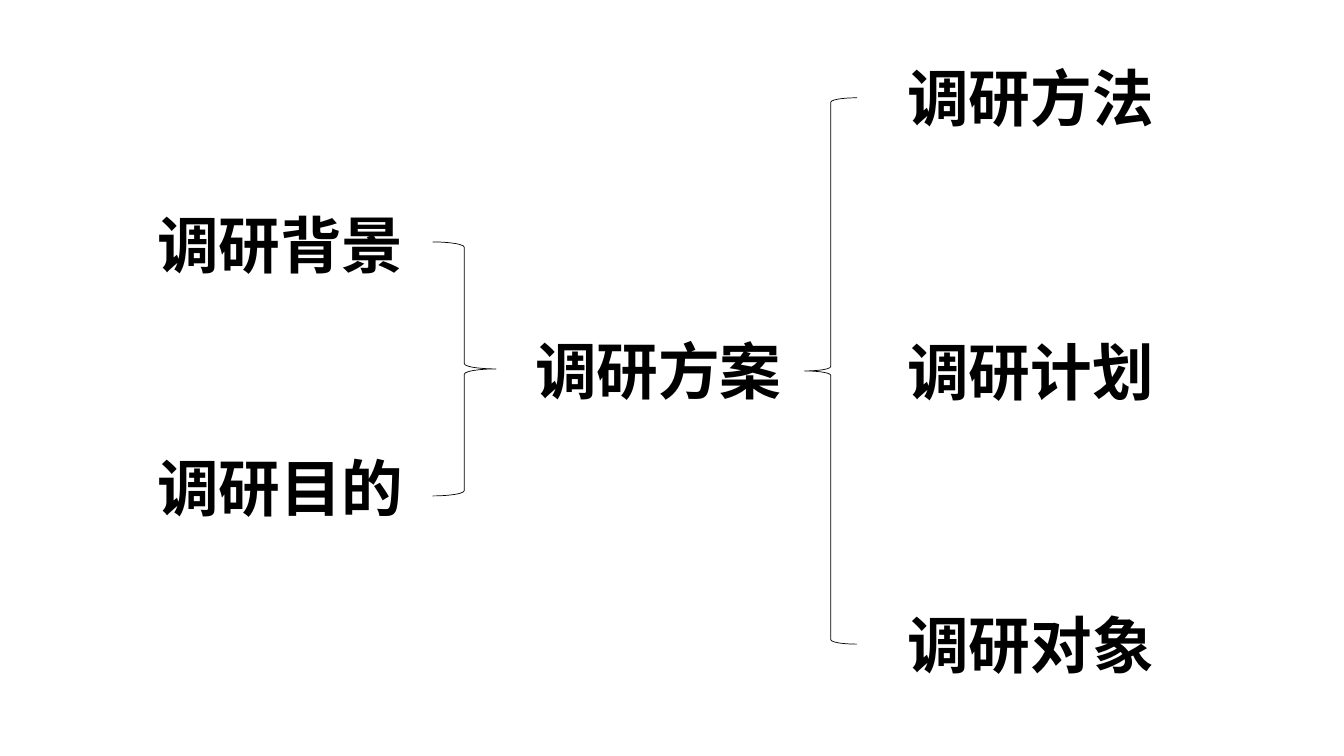
from lxml import etree
from pptx import Presentation
from pptx.dml.color import RGBColor
from pptx.enum.shapes import MSO_SHAPE
from pptx.enum.text import MSO_AUTO_SIZE
from pptx.oxml.ns import qn
from pptx.util import Emu, Pt

LEFT_BRACE = MSO_SHAPE.LEFT_BRACE
RIGHT_BRACE = MSO_SHAPE.RIGHT_BRACE
FIT_SHAPE = MSO_AUTO_SIZE.SHAPE_TO_FIT_TEXT
BLACK = RGBColor(0x00, 0x00, 0x00)
EMU_PER_PX = 9144
LABEL_WIDTH, LABEL_HEIGHT = 297, 84


def px(*lengths):
    return [Emu(length * EMU_PER_PX) for length in lengths]


def write_text(para, text, *, font, size, color, bold=False):
    span = para.add_run()
    span.text = text
    span.font.name = font
    span.font.size = Pt(size)
    span.font.bold = bold
    span.font.color.rgb = color
    properties = span.font._element
    etree.SubElement(properties, qn("a:ea")).set("typeface", font)


class BraceMap:
    font = "Vollkorn"
    size = 44
    color = BLACK
    line_width = Pt(0.5)

    def __init__(self, page):
        self.page = page

    def brace(self, kind, left, top, width, height):
        shape = self.page.shapes.add_shape(kind, *px(left, top, width, height))
        shape.shadow.inherit = False
        shape.fill.background()
        shape.line.color.rgb = self.color
        shape.line.width = self.line_width

    def label(self, text, left, top):
        box = self.page.shapes.add_textbox(*px(left, top, LABEL_WIDTH, LABEL_HEIGHT))
        frame = box.text_frame
        frame.word_wrap = True
        frame.auto_size = FIT_SHAPE
        write_text(frame.paragraphs[0], text, font=self.font, size=self.size,
                   color=self.color, bold=True)

    def column(self, texts, left, top, step):
        for index, text in enumerate(texts):
            self.label(text, left, top + index * step)


def main():
    deck = Presentation()
    deck.slide_width, deck.slide_height = px(1333, 750)
    page = deck.slides.add_slide(deck.slide_layouts[6])
    brace_map = BraceMap(page)
    brace_map.brace(LEFT_BRACE, 798, 97, 52, 542)
    brace_map.brace(RIGHT_BRACE, 429, 240, 63, 252)
    brace_map.column(["调研背景", "调研目的"], 146, 200, 241)
    brace_map.label("调研方案", 521, 325)
    brace_map.column(["调研方法", "调研计划", "调研对象"], 890, 55, 271)
    deck.save("out.pptx")


if __name__ == "__main__":
    main()
